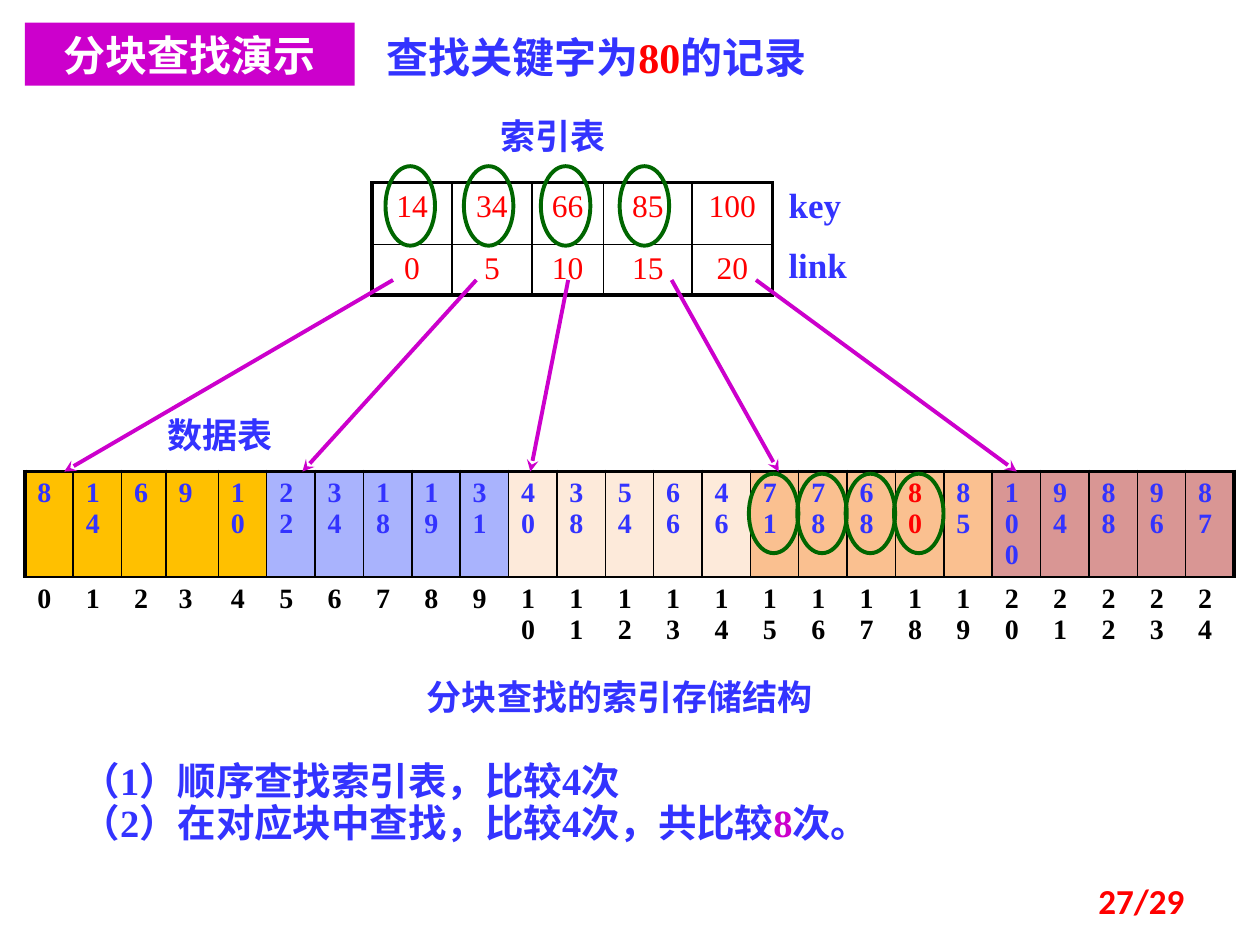
from dataclasses import dataclass
from itertools import accumulate

from lxml.etree import SubElement
from pptx import Presentation
from pptx.dml.color import RGBColor
from pptx.enum.shapes import MSO_CONNECTOR as Connector, MSO_SHAPE as Shape
from pptx.enum.text import MSO_ANCHOR as Anchor, PP_ALIGN as Align
from pptx.oxml.ns import qn
from pptx.util import Pt


@dataclass(frozen=True)
class Theme:
    blue: str = "3333FF"
    red: str = "FF0000"
    purple: str = "CC00CC"
    green: str = "006600"
    black: str = "000000"
    white: str = "FFFFFF"
    blocks: tuple = ("FFC000", "A9B3FD", "FDEADA", "FAC090", "D99694")
    serif: str = "Times New Roman"
    hans: str = "Noto Sans CJK SC"
    sans: str = "Calibri"
    title: int = 24
    steps: int = 22
    label: int = 20
    index: int = 18
    data: int = 16
    thick: float = 2.25
    thin: float = 1


THEME = Theme()
BLOCK_SIZE = 5


def rgb(value):
    return RGBColor.from_string(value)


def points(*values):
    return [Pt(value) for value in values]


def write(para, spans, size, font=THEME.serif, bold=True, **layout):
    """Fill a paragraph with (text, colour) spans."""
    for name, value in layout.items():
        setattr(para, name, value)
    for text, color in spans:
        span = para.add_run()
        span.text = text
        for name, value in dict(size=Pt(size), bold=bold, name=font).items():
            setattr(span.font, name, value)
        span.font.color.rgb = rgb(color)
        SubElement(span.font._element, qn("a:ea"), typeface=THEME.hans)


def set_frame(frame, inset=(7.2, 3.6), anchor=Anchor.TOP):
    across, down = points(*inset)
    values = dict(word_wrap=True, vertical_anchor=anchor, margin_left=across,
                  margin_right=across, margin_top=down, margin_bottom=down)
    for name, value in values.items():
        setattr(frame, name, value)


def add_text(page, box, spans, size, inset=(7.2, 3.6), anchor=Anchor.TOP, **style):
    frame = page.shapes.add_textbox(*points(*box)).text_frame
    set_frame(frame, inset, anchor)
    write(frame.paragraphs[0], spans, size, **style)
    return frame


def add_label(page, box, text):
    add_text(page, box, [(text, THEME.blue)], THEME.label, inset=(0, 0))


def set_borders(cell, **widths):
    """Border widths by side; zero means no line."""
    props = cell._tc.get_or_add_tcPr()
    for place, side in enumerate("LRTB"):
        width = widths.get(side, 0)
        line = props.makeelement(qn(f"a:ln{side}"), {"w": str(Pt(width))})
        props.insert(place, line)
        if width:
            fill = SubElement(line, qn("a:solidFill"))
            SubElement(fill, qn("a:srgbClr"), val=THEME.black)
        else:
            SubElement(line, qn("a:noFill"))


def add_grid(page, box, widths, heights):
    table = page.shapes.add_table(len(heights), len(widths), *points(*box)).table
    for name in ("first_row", "horz_banding"):
        setattr(table, name, False)
    for column, width in zip(table.columns, widths):
        column.width = Pt(width)
    for row, height in zip(table.rows, heights):
        row.height = Pt(height)
    for cell in table.iter_cells():
        cell.fill.background()
    return table


def add_ring(page, left, top):
    """Green ring round a compared key."""
    ring = page.shapes.add_shape(Shape.OVAL, *points(left, top, 28.3, 45.4))
    ring.shadow.inherit = False
    ring.fill.background()
    ring.line.color.rgb = rgb(THEME.green)
    ring.line.width = Pt(THEME.thick)


def add_arrow(page, start, end):
    arrow = page.shapes.add_connector(Connector.STRAIGHT, *points(*start, *end))
    arrow.line.color.rgb = rgb(THEME.purple)
    arrow.line.width = Pt(THEME.thick)
    SubElement(arrow.line._get_or_add_ln(), qn("a:tailEnd"), type="stealth")
    SubElement(arrow._element.spPr, qn("a:effectLst"))


def add_heading(page, box):
    left, top, width, height = box
    banner = page.shapes.add_shape(Shape.RECTANGLE, *points(left, top, 188.5, height))
    banner.shadow.inherit = False
    banner.fill.solid()
    banner.fill.fore_color.rgb = rgb(THEME.purple)
    banner.line.fill.background()
    set_frame(banner.text_frame, anchor=Anchor.MIDDLE)
    write(banner.text_frame.paragraphs[0], [("分块查找演示", THEME.white)],
          THEME.title, font=THEME.hans, alignment=Align.CENTER)
    spans = [("查找关键字为", THEME.blue), ("80", THEME.red), ("的记录", THEME.blue)]
    add_text(page, (left + 199.5, top + 1.5, width - 199.5, height), spans, THEME.title)


def add_index_table(page, box):
    left, top, width, height = box
    rows = ((14, 34, 66, 85, 100), (0, 5, 10, 15, 20))
    table = add_grid(page, box, (45.8, 45.5, 41, 50.6, 46), (35.4, height - 35.4))
    last = len(rows[0]) - 1
    for r, values in enumerate(rows):
        for c, value in enumerate(values):
            cell = table.cell(r, c)
            write(cell.text_frame.paragraphs[0], [(str(value), THEME.red)],
                  THEME.index, bold=False, alignment=Align.CENTER)
            set_borders(cell, L=THEME.thin if c else THEME.thick,
                        R=THEME.thick if c == last else THEME.thin,
                        T=THEME.thin if r else THEME.thick,
                        B=THEME.thick if r else THEME.thin)
    add_label(page, (left + 73.5, top - 38.9, 73.4, 23.8), "索引表")
    for text, drop in (("key", 0.7), ("link", 34.5)):
        add_label(page, (left + width + 9, top + drop, 73.4, 23.8), text)
    for offset in (7.7, 52.5, 96.5, 141.5):
        add_ring(page, left + offset, top - 9.4)


def add_data_table(page, box):
    left, top, _, height = box
    keys = (8, 14, 6, 9, 10, 22, 34, 18, 19, 31, 40, 38, 54, 66, 46,
            71, 78, 68, 80, 85, 100, 94, 88, 96, 87)
    widths = [27.65] * len(keys)
    widths[2:4] = 25.4, 29.9
    table = add_grid(page, box, widths, (60.5, height - 60.5))
    last = len(keys) - 1
    for c, key in enumerate(keys):
        upper, lower = table.cell(0, c), table.cell(1, c)
        upper.fill.solid()
        upper.fill.fore_color.rgb = rgb(THEME.blocks[c // BLOCK_SIZE])
        color = THEME.red if key == 80 else THEME.blue
        write(upper.text_frame.paragraphs[0], [(str(key), color)], THEME.data)
        write(lower.text_frame.paragraphs[0], [(str(c), THEME.black)], THEME.data)
        set_borders(upper, L=THEME.thin if c else THEME.thick,
                    R=THEME.thick if c == last else THEME.thin,
                    T=THEME.thick, B=THEME.thin)
        set_borders(lower, T=THEME.thin)
    add_label(page, (left + 81.4, top - 33.1, 73.4, 23.8), "数据表")
    edges = [left, *accumulate(widths, initial=left)][1:]
    for c in range(15, 19):
        add_ring(page, edges[c] - 1, top + 1.4)


def add_links(page, top, bottom):
    """Arrows from each link to the first cell of its block."""
    ends = ((224.6, 36.7), (272.2, 172.8), (324.7, 303.1), (383.8, 445), (432, 581))
    for start, end in ends:
        add_arrow(page, (start, top), (end, bottom))


def add_summary(page, box):
    left, top, width, height = box
    add_text(page, (left + 162.7, top, 303.8, 31.7),
             [("分块查找的索引存储结构", THEME.blue)], THEME.label, alignment=Align.CENTER)
    steps = add_text(page, (left, top + 56.2, width, height - 56.2),
                     [("（1）顺序查找索引表，比较4次", THEME.blue)],
                     THEME.steps, line_spacing=0.6)
    write(steps.add_paragraph(),
          [("（2）在对应块中查找，比较4次，共比较", THEME.blue),
           ("8", THEME.purple), ("次。", THEME.blue)],
          THEME.steps, line_spacing=0.6, space_before=Pt(8))


def main():
    deck = Presentation()
    deck.slide_width, deck.slide_height = points(720, 540)
    page = deck.slides.add_slide(deck.slide_layouts[6])
    add_data_table(page, (14.2, 269.3, 692, 110))
    add_index_table(page, (212.6, 104.4, 229, 63))
    add_links(page, 160, 269.5)
    add_summary(page, (39.6, 382.3, 544.3, 109.5))
    add_heading(page, (14.2, 13, 500, 36))
    # Page number
    add_text(page, (516.2, 500.4, 167.8, 28.8), [("27/29", THEME.red)], THEME.label,
             anchor=Anchor.MIDDLE, font=THEME.sans, alignment=Align.RIGHT)
    deck.save("out.pptx")


if __name__ == "__main__":
    main()
